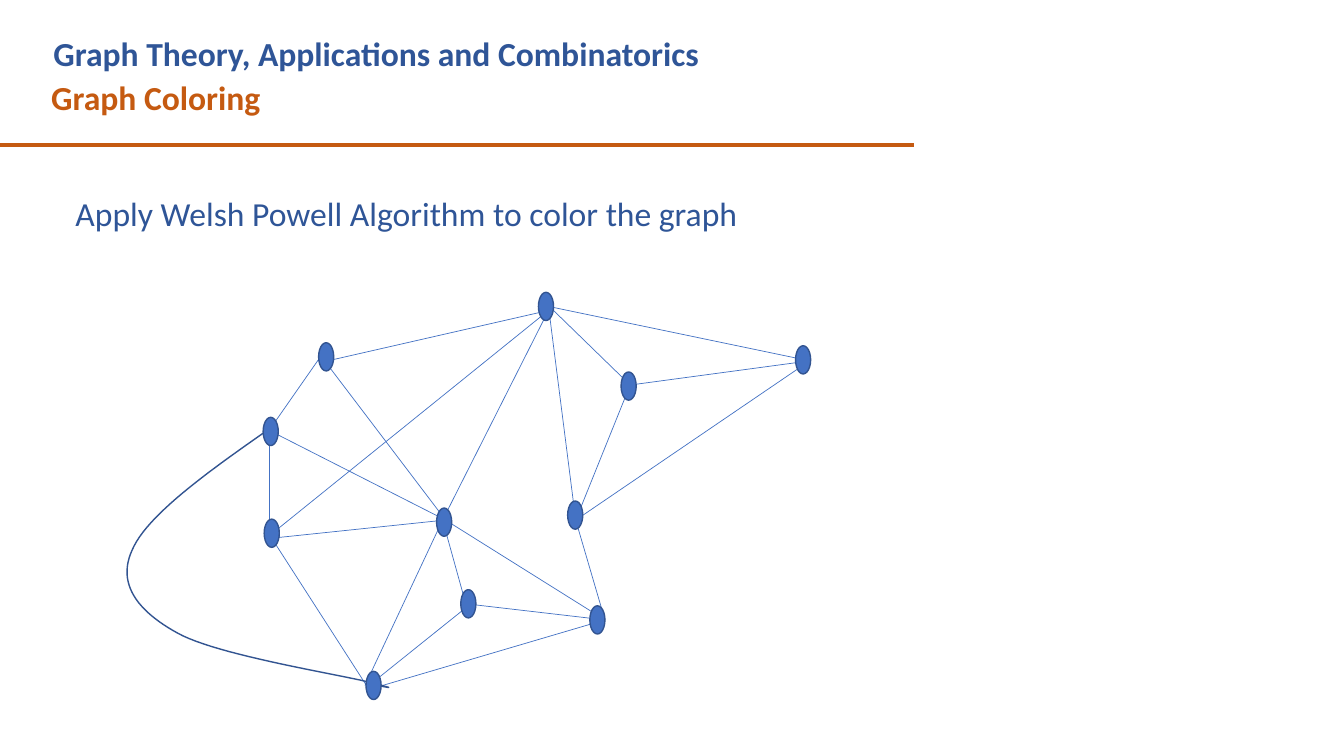
from lxml import etree
from pptx import Presentation
from pptx.dml.color import RGBColor
from pptx.enum.shapes import MSO_CONNECTOR, MSO_SHAPE
from pptx.enum.text import MSO_ANCHOR, MSO_AUTO_SIZE, PP_ALIGN
from pptx.oxml.ns import qn
from pptx.util import Pt

STRAIGHT = MSO_CONNECTOR.STRAIGHT
OVAL = MSO_SHAPE.OVAL
TOP = MSO_ANCHOR.TOP
LEFT = PP_ALIGN.LEFT
FIT_SHAPE = MSO_AUTO_SIZE.SHAPE_TO_FIT_TEXT

EMU_PER_PX = 9144  # 100 px to the inch
FONT = "Calibri"
ORANGE = RGBColor(0xC5, 0x5A, 0x11)
NAVY = RGBColor(0x2F, 0x55, 0x97)
BLUE = RGBColor(0x44, 0x72, 0xC4)
OUTLINE = RGBColor(0x32, 0x54, 0x91)

HEADER_BOX = (0, 28, 907, 116)
TASK_BOX = (65, 186, 1033, 50)
GRAPH_BOX = (126, 290, 678, 404)

# All graph coordinates are relative to the top left of GRAPH_BOX.
VERTEX_SIZE = (15, 28)
VERTICES = [
    (408, 0), (490, 79), (663, 53), (437, 207), (459, 311), (307, 214),
    (331, 295), (237, 376), (190, 50), (135, 124), (136, 225),
]
EDGES = [
    ((418, 14), (445, 226)), ((423, 18), (499, 92)), ((445, 226), (677, 68)),
    ((499, 92), (445, 226)), ((499, 92), (677, 68)), ((418, 14), (677, 68)),
    ((418, 18), (313, 226)), ((316, 226), (474, 325)), ((313, 226), (236, 390)),
    ((240, 394), (474, 325)), ((313, 226), (336, 309)), ((336, 313), (240, 390)),
    ((336, 309), (474, 325)), ((445, 226), (474, 325)), ((240, 394), (141, 240)),
    ((315, 226), (143, 244)), ((141, 251), (141, 137)), ((143, 134), (196, 58)),
    ((199, 68), (418, 18)), ((196, 68), (316, 226)), ((141, 137), (316, 226)),
    ((143, 240), (418, 18)),
]
LOOP_START = (139, 137)
LOOP_CURVES = [  # two control points and an end point each
    ((79, 179), (19, 222), (5, 256)),
    ((-10, 289), (10, 316), (50, 338)),
    ((89, 360), (210, 379), (241, 387)),
    ((273, 395), (257, 392), (240, 388)),
]
CURVE_STEPS = 24


def px(value):
    return round(value * EMU_PER_PX)


def format_text(shape, text, color, bold=False):
    frame = shape.text_frame
    frame.text = text
    frame.word_wrap = True
    frame.auto_size = FIT_SHAPE
    frame.vertical_anchor = TOP
    paragraph = frame.paragraphs[0]
    paragraph.alignment = LEFT
    font = paragraph.runs[0].font
    font.name, font.size, font.bold = FONT, Pt(24), bold
    font.color.rgb = color


def add_text(slide, box, text, color, bold=False):
    shape = slide.shapes.add_textbox(*map(px, box))
    format_text(shape, text, color, bold)


def add_line(slide, start, end, color, width):
    line = slide.shapes.add_connector(STRAIGHT, *map(px, (*start, *end)))
    line.line.color.rgb = color
    line.line.width = Pt(width)
    etree.SubElement(line._element.spPr, qn("a:effectLst"))


def add_header(slide, box):
    left, top, width, height = box
    title = slide.shapes.title
    title.left, title.top = px(left + 43), px(top)
    title.width, title.height = px(820), px(50)
    format_text(title, "Graph Theory, Applications and Combinatorics", NAVY, True)
    add_text(slide, (left + 41, top + 43, 875, 50), "Graph Coloring", ORANGE, True)
    rule_y = top + height
    add_line(slide, (left - 1, rule_y), (left + width, rule_y), ORANGE, 3)


def curve_points(start, curves):
    """Return points along a chain of cubic Bézier curves."""
    points = []
    for first, second, end in curves:
        for step in range(1, CURVE_STEPS + 1):
            t = step / CURVE_STEPS
            u = 1 - t
            points.append(tuple(
                u**3 * a + 3 * u * u * t * b + 3 * u * t * t * c + t**3 * d
                for a, b, c, d in zip(start, first, second, end)))
        start = end
    return points


def add_graph(slide, box):
    left, top = box[:2]

    def place(point):
        return left + point[0], top + point[1]

    for start, end in EDGES:
        add_line(slide, place(start), place(end), BLUE, 0.5)

    builder = slide.shapes.build_freeform(*map(px, place(LOOP_START)))
    builder.add_line_segments(
        [tuple(map(px, place(point))) for point in curve_points(LOOP_START, LOOP_CURVES)],
        close=False)
    loop = builder.convert_to_shape()
    loop.fill.background()
    vertices = [slide.shapes.add_shape(OVAL, *map(px, place(corner) + VERTEX_SIZE))
                for corner in VERTICES]
    for vertex in vertices:
        vertex.fill.solid()
        vertex.fill.fore_color.rgb = BLUE
    for shape in [loop, *vertices]:
        shape.shadow.inherit = False
        shape.line.color.rgb = OUTLINE
        shape.line.width = Pt(1)


def main():
    presentation = Presentation()
    presentation.slide_width, presentation.slide_height = px(1333), px(750)
    title_only = presentation.slide_layouts[5]
    slide = presentation.slides.add_slide(title_only)
    add_header(slide, HEADER_BOX)
    add_text(slide, TASK_BOX, "Apply Welsh Powell Algorithm to color the graph", NAVY)
    add_graph(slide, GRAPH_BOX)
    presentation.save("out.pptx")


if __name__ == "__main__":
    main()
